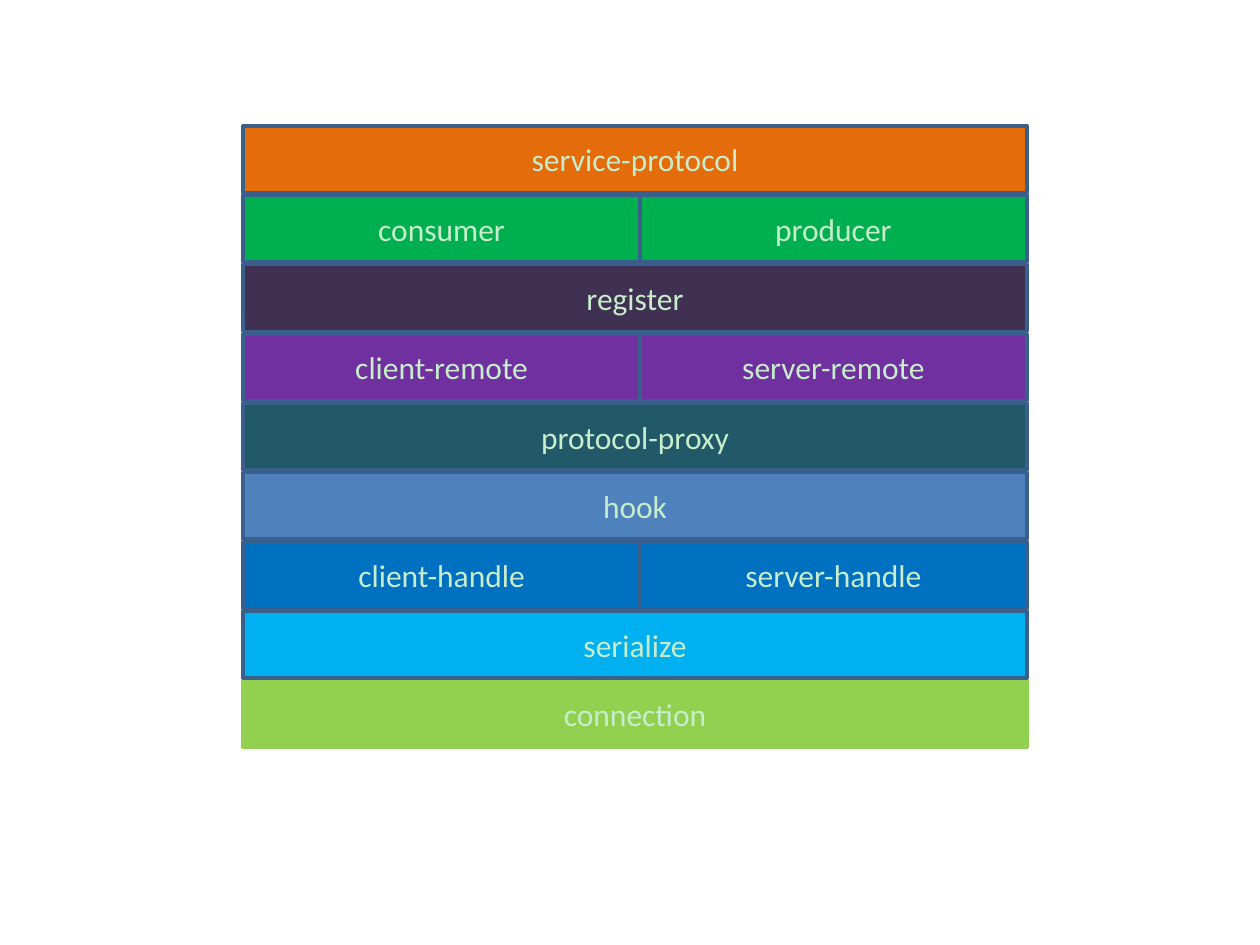
from dataclasses import dataclass

from pptx import Presentation
from pptx.dml.color import RGBColor
from pptx.enum.shapes import MSO_SHAPE
from pptx.enum.text import MSO_ANCHOR, PP_ALIGN
from pptx.slide import Slide
from pptx.util import Inches, Pt

COLOURS = {
    "text": "C7EDCC", "border": "3A5F8C", "orange": "E46C0A",
    "green": "00B050", "plum": "403152", "purple": "7030A0",
    "teal": "215968", "steel": "4F81BD", "blue": "0070C0",
    "sky": "00B0F0", "lime": "92D050",
}

# Grid of the stack, in inches: column edges, first row, row step and height
LEFT, MIDDLE, RIGHT = 1.93, 5.08, 8.15
TOP, ROW_STEP, ROW_HEIGHT = 1.0, 0.55, 0.53

FONT_FORMAT = {"name": "Calibri", "size": Pt(18)}


@dataclass(frozen=True)
class Layer:
    fill: str
    labels: tuple[str, ...]
    border: str = "border"


# Layers from top to bottom
LAYERS = (
    Layer("orange", ("service-protocol",)),
    Layer("green", ("consumer", "producer")),
    Layer("plum", ("register",)),
    Layer("purple", ("client-remote", "server-remote")),
    Layer("teal", ("protocol-proxy",)),
    Layer("steel", ("hook",)),
    Layer("blue", ("client-handle", "server-handle")),
    Layer("sky", ("serialize",)),
    Layer("lime", ("connection",), border="lime"),
)


def colour(name: str) -> RGBColor:
    return RGBColor.from_string(COLOURS[name])


def draw_box(page: Slide, layer: Layer, label: str,
             left: float, right: float, row: int) -> None:
    box = page.shapes.add_shape(
        MSO_SHAPE.RECTANGLE, Inches(left), Inches(TOP + row * ROW_STEP),
        Inches(right - left), Inches(ROW_HEIGHT))
    box.shadow.inherit = False
    box.fill.solid()
    box.fill.fore_color.rgb = colour(layer.fill)
    box.line.color.rgb = colour(layer.border)
    box.line.width = Pt(2)

    # Centred label
    box.text_frame.vertical_anchor = MSO_ANCHOR.MIDDLE
    para = box.text_frame.paragraphs[0]
    para.alignment = PP_ALIGN.CENTER
    span = para.add_run()
    span.text = label
    for attribute, value in FONT_FORMAT.items():
        setattr(span.font, attribute, value)
    span.font.color.rgb = colour("text")


def draw_layer(page: Slide, layer: Layer, row: int) -> None:
    edges = (LEFT, RIGHT) if len(layer.labels) == 1 else (LEFT, MIDDLE, RIGHT)
    for label, left, right in zip(layer.labels, edges, edges[1:]):
        draw_box(page, layer, label, left, right, row)


def main() -> None:
    deck = Presentation()
    deck.slide_width, deck.slide_height = Inches(10), Inches(7.5)
    page = deck.slides.add_slide(deck.slide_layouts[6])

    # Bottom layer first, so that each layer overlaps the one below it
    for row, layer in reversed(list(enumerate(LAYERS))):
        draw_layer(page, layer, row)
    deck.save("out.pptx")


if __name__ == "__main__":
    main()
